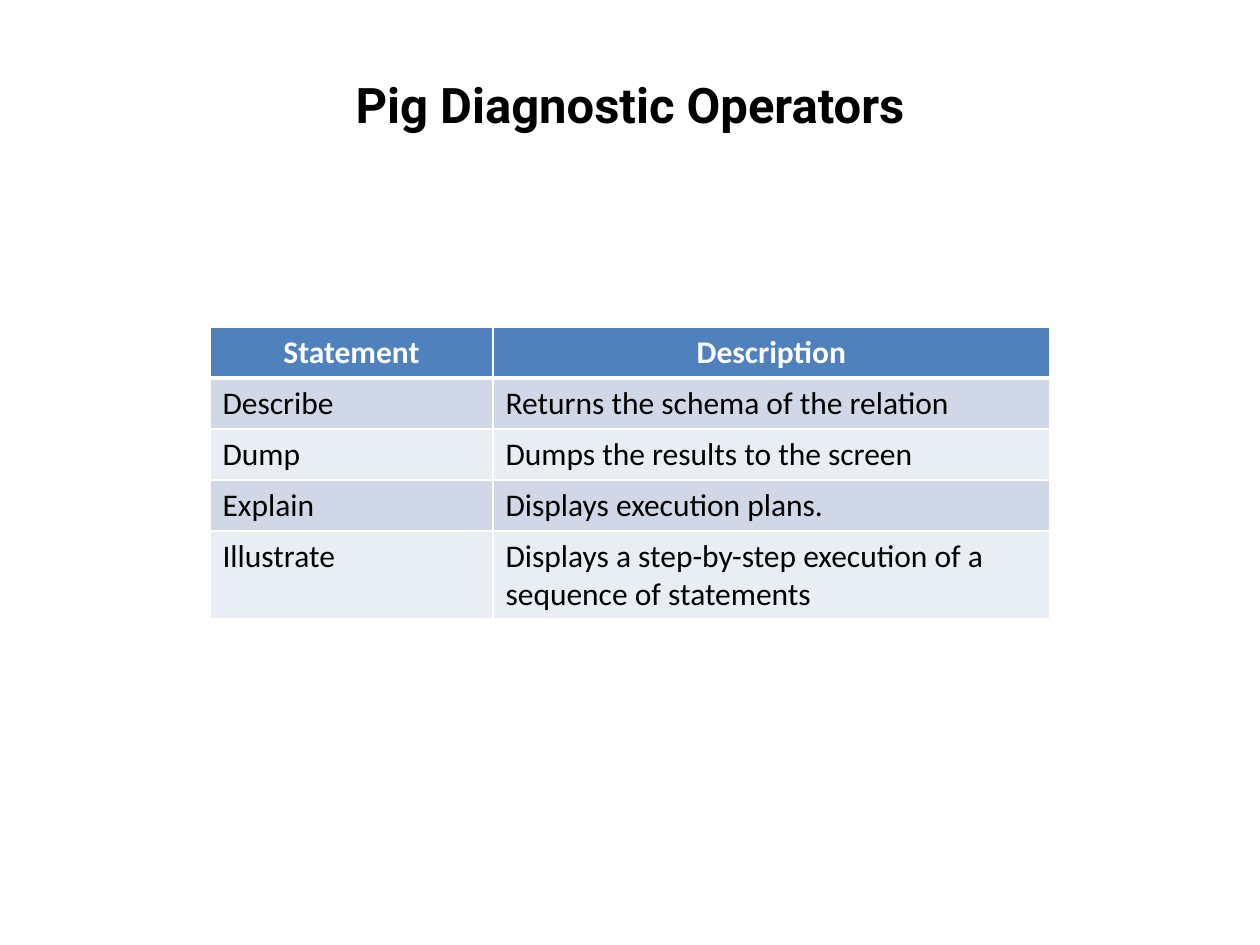
"""Build a slide with a table of Pig diagnostic operators."""
from lxml import etree
from pptx import Presentation
from pptx import util as u
from pptx.dml.color import RGBColor
from pptx.enum import text
from pptx.oxml.ns import qn

PX = 914400 // 126
COLORS = {"title": "000000", "head": "4F81BD", "head_text": "FFFFFF",
          "odd": "D0D8E8", "even": "E9EDF4", "body_text": "000000", "border": "FFFFFF"}
TITLE = "Pig Diagnostic Operators"
ROWS = [
    ("Statement", "Description"),
    ("Describe", "Returns the schema of the relation"),
    ("Dump", "Dumps the results to the screen"),
    ("Explain", "Displays execution plans."),
    ("Illustrate", "Displays a step-by-step execution of a sequence of statements"),
]
TITLE_BOX = (168, 53, 924, 101)
TABLE_LEFT, TABLE_TOP = 210, 327
COL_WIDTHS = (283, 557)
ROW_HEIGHTS = (51, 51, 51, 51, 88)


def color(name):
    return RGBColor.from_string(COLORS[name])


def style_text(tf, wording, font, size, name, bold, centred):
    p = tf.paragraphs[0]
    p.text = wording
    p.alignment = text.PP_ALIGN.CENTER if centred else text.PP_ALIGN.LEFT
    p.font.name, p.font.size, p.font.bold = font, u.Pt(size), bold
    p.font.color.rgb = color(name)


def add_borders(cell, widths):
    tc_pr = cell._tc.get_or_add_tcPr()
    for i, (side, width) in enumerate(zip("LRTB", widths)):
        ln = etree.Element(qn(f"a:ln{side}"), w=str(u.Pt(width)))
        fill = etree.SubElement(ln, qn("a:solidFill"))
        etree.SubElement(fill, qn("a:srgbClr"), val=COLORS["border"])
        tc_pr.insert(i, ln)


def add_title(s):
    tf = s.shapes.add_textbox(*(n * PX for n in TITLE_BOX)).text_frame
    tf.word_wrap = True
    tf.vertical_anchor = text.MSO_ANCHOR.MIDDLE
    style_text(tf, TITLE, "Roboto", 28, "title", True, True)


def add_operator_table(s):
    table = s.shapes.add_table(
        len(ROWS), len(COL_WIDTHS), TABLE_LEFT * PX, TABLE_TOP * PX,
        sum(COL_WIDTHS) * PX, sum(ROW_HEIGHTS) * PX).table
    for column, width in zip(table.columns, COL_WIDTHS):
        column.width = width * PX
    for i, (row, height) in enumerate(zip(table.rows, ROW_HEIGHTS)):
        row.height = height * PX
        head = i == 0
        band = "head" if head else "odd" if i % 2 else "even"
        for cell, wording in zip(row.cells, ROWS[i]):
            cell.fill.solid()
            cell.fill.fore_color.rgb = color(band)
            cell.vertical_anchor = text.MSO_ANCHOR.MIDDLE if head else text.MSO_ANCHOR.TOP
            style_text(cell.text_frame, wording, "Calibri", 18,
                       "head_text" if head else "body_text", head, head)
            add_borders(cell, (1, 1, 3 if i == 1 else 1, 3 if head else 1))


def main():
    prs = Presentation()
    prs.slide_width, prs.slide_height = 1260 * PX, 945 * PX
    s = prs.slides.add_slide(prs.slide_layouts[6])
    add_title(s)
    add_operator_table(s)
    prs.save("out.pptx")


if __name__ == "__main__":
    main()
